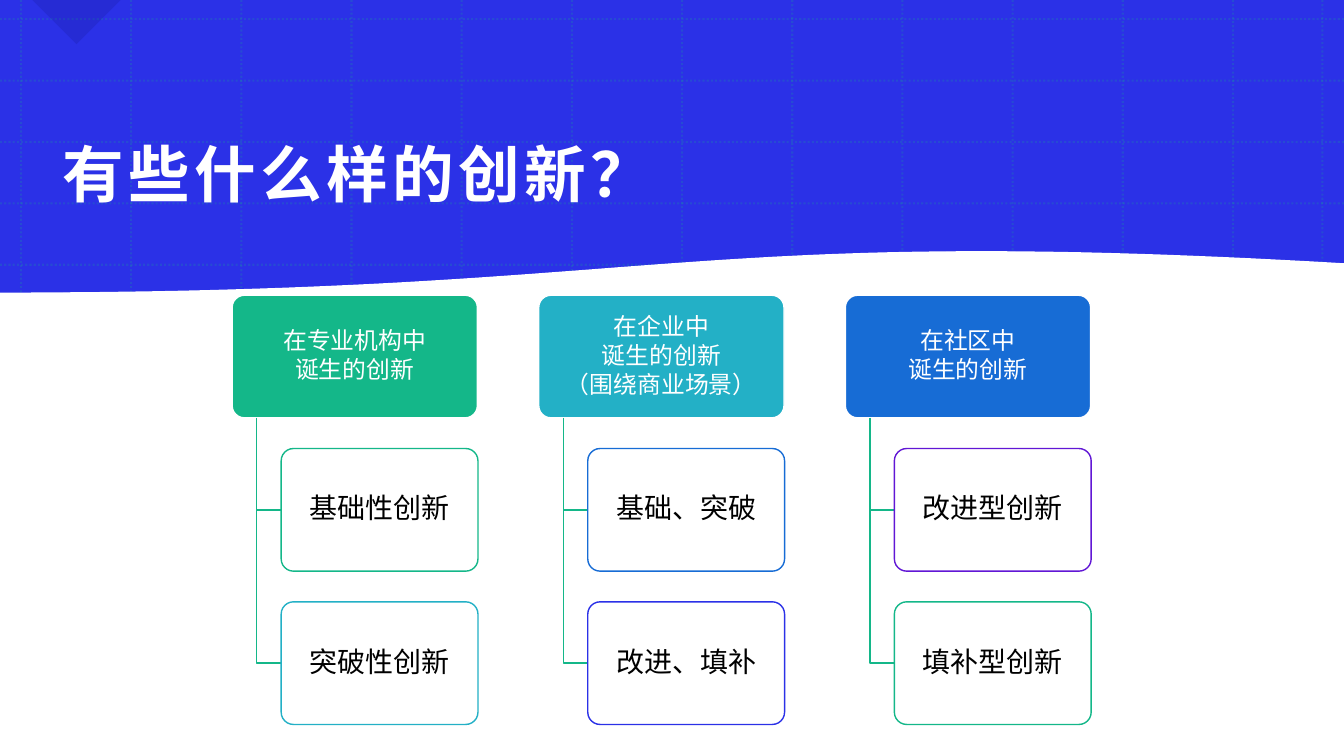
"""Build a slide that sorts kinds of innovation by where they are born."""
from lxml.etree import SubElement
from pptx import Presentation
from pptx.dml.color import RGBColor
from pptx.enum.dml import MSO_LINE
from pptx.enum.shapes import MSO_CONNECTOR, MSO_SHAPE
from pptx.enum.text import MSO_ANCHOR, PP_ALIGN
from pptx.oxml.ns import qn
from pptx.util import Pt

TITLE = "有些什么样的创新？"
COLUMNS = [
    (["在专业机构中", "诞生的创新"], "green",
     [("基础性创新", "green"), ("突破性创新", "teal")]),
    (["在企业中", "诞生的创新", "（围绕商业场景）"], "teal",
     [("基础、突破", "blue"), ("改进、填补", "indigo")]),
    (["在社区中", "诞生的创新"], "blue",
     [("改进型创新", "purple"), ("填补型创新", "green")]),
]
COLORS = {
    "green": "14B789", "teal": "23B0C6", "blue": "176CD5", "indigo": "2B31E7",
    "purple": "6117D5", "navy": "0E117B", "white": "FFFFFF", "black": "000000",
}
FONT = "Noto Sans CJK SC"
SLIDE_W, SLIDE_H = 960, 540
GRID_X, GRID_Y, GRID_DX, GRID_DY = 15, 13.7, 78.7, 43.85
LAST_GRID_X = 944.6
WAVE = [(-0.7, 209.5), (478.8, 209.5), (481.7, 160.6), (960.5, 188.6)]
WAVE_STEPS = 60
TREE_X, TREE_Y, HEAD_W, BOX_H = 165.8, 210.9, 175.2, 87.6
STEP_X, STEP_Y = HEAD_W * 1.25, BOX_H * 1.25
TRUNK, INDENT = HEAD_W * 0.1, HEAD_W * 0.2


def color(name):
    return RGBColor.from_string(COLORS[name])


def set_alpha(shape, percent):
    for tint in shape._element.spPr.iter(qn("a:srgbClr")):
        SubElement(tint, qn("a:alpha"), val=str(percent * 1000))


def paint(shape, fill=None, line=None, alpha=None):
    shape.shadow.inherit = False
    if fill:
        shape.fill.solid()
        shape.fill.fore_color.rgb = color(fill)
    else:
        shape.fill.background()
    if alpha:
        set_alpha(shape, alpha)
    if line:
        shape.line.color.rgb = color(line)
        shape.line.width = Pt(1)
    else:
        shape.line.fill.background()


def write(paragraph, text, size, tint):
    run = paragraph.add_run()
    run.text = text
    run.font.name = FONT
    run.font.size = Pt(size)
    run.font.color.rgb = color(tint)
    SubElement(run.font._element, qn("a:ea"), typeface=FONT)
    return run


def set_frame(frame, left, top, right, bottom):
    frame.word_wrap = True
    frame.vertical_anchor = MSO_ANCHOR.MIDDLE
    frame.margin_left, frame.margin_top = Pt(left), Pt(top)
    frame.margin_right, frame.margin_bottom = Pt(right), Pt(bottom)


def add_preset(shapes, kind, x, y, w, h):
    return shapes.add_shape(kind, Pt(x), Pt(y), Pt(w), Pt(h))


def add_outline(shapes, points, close):
    corners = [(Pt(x), Pt(y)) for x, y in points]
    builder = shapes.build_freeform(*corners[0])
    builder.add_line_segments(corners[1:], close=close)
    return builder.convert_to_shape()


def add_grid_line(shapes, x1, y1, x2, y2):
    rule = shapes.add_connector(MSO_CONNECTOR.STRAIGHT, Pt(x1), Pt(y1), Pt(x2), Pt(y2))
    rule.line.color.rgb = color("green")
    rule.line.width = Pt(1.5)
    rule.line.dash_style = MSO_LINE.ROUND_DOT
    set_alpha(rule, 20)
    SubElement(rule._element.spPr, qn("a:effectLst"))


def wave_point(t):
    weights = ((1 - t) ** 3, 3 * t * (1 - t) ** 2, 3 * t * t * (1 - t), t ** 3)
    return tuple(sum(w * p[axis] for w, p in zip(weights, WAVE)) for axis in (0, 1))


def add_banner(shapes):
    paint(add_preset(shapes, MSO_SHAPE.RECTANGLE, 0, 0, SLIDE_W, SLIDE_H), "indigo")
    for x in [GRID_X + GRID_DX * i for i in range(12)] + [LAST_GRID_X]:
        add_grid_line(shapes, x, 0, x, SLIDE_H)
    for i in range(5):
        y = GRID_Y + GRID_DY * i
        add_grid_line(shapes, 0, y, SLIDE_W, y)
    corner = add_preset(shapes, MSO_SHAPE.RIGHT_TRIANGLE, 32.4, -22.3, 44.6, 44.6)
    corner.rotation = 315
    paint(corner, "navy", alpha=17)
    crest = [wave_point(i / WAVE_STEPS) for i in range(WAVE_STEPS + 1)]
    floor = [(WAVE[-1][0], SLIDE_H), (WAVE[0][0], SLIDE_H)]
    paint(add_outline(shapes, crest + floor, True), "white", "white")


def add_title(shapes):
    title = shapes.title
    title.left, title.top, title.width, title.height = Pt(36), Pt(57), Pt(846), Pt(131.8)
    set_frame(title.text_frame, 8.6, 8.6, 8.6, 7.2)
    heading = title.text_frame.paragraphs[0]
    heading.alignment = PP_ALIGN.LEFT
    run = write(heading, TITLE, 44, "white")
    run.font.bold = True
    run.font._element.set("spc", "320")
    shapes._spTree.append(title._element)


def add_box(shapes, x, y, w, lines, size, tint, fill, line, alpha=None):
    box = add_preset(shapes, MSO_SHAPE.ROUNDED_RECTANGLE, x, y, w, BOX_H)
    box.adjustments[0] = 0.1
    paint(box, fill, line, alpha)
    set_frame(box.text_frame, 5, 4, 5, 4)
    for i, text in enumerate(lines):
        frame = box.text_frame
        paragraph = frame.add_paragraph() if i else frame.paragraphs[0]
        paragraph.alignment = PP_ALIGN.CENTER
        paragraph.line_spacing = 0.9
        paragraph.space_after = Pt(2.5)
        write(paragraph, text, size, tint)


def add_tree(shapes):
    for column, (head, head_color, kinds) in enumerate(COLUMNS):
        x = TREE_X + STEP_X * column
        add_box(shapes, x, TREE_Y, HEAD_W, head, 17, "white", head_color, "white")
        for row, (kind, border) in enumerate(kinds, 1):
            y = TREE_Y + STEP_Y * row
            middle = y + BOX_H / 2
            branch = [(x + TRUNK, TREE_Y + BOX_H), (x + TRUNK, middle), (x + INDENT, middle)]
            paint(add_outline(shapes, branch, False), line="green")
            add_box(shapes, x + INDENT, y, HEAD_W - INDENT * 1.0 + 0.4, [kind], 20,
                    "black", "white", border, 90)


def main():
    deck = Presentation()
    deck.slide_width, deck.slide_height = Pt(SLIDE_W), Pt(SLIDE_H)
    shapes = deck.slides.add_slide(deck.slide_layouts[5]).shapes
    add_banner(shapes)
    add_title(shapes)
    add_tree(shapes)
    deck.save("out.pptx")


if __name__ == "__main__":
    main()
